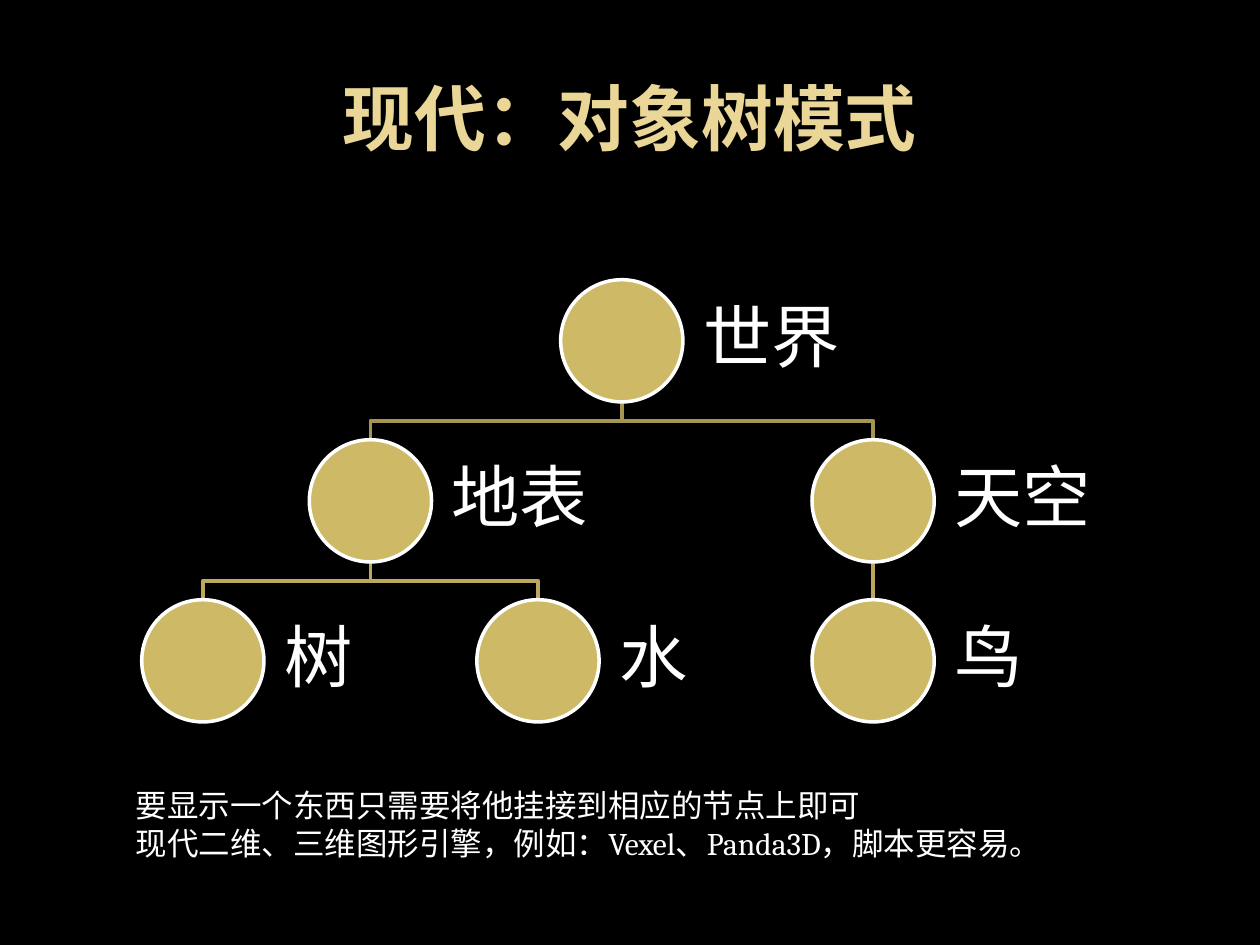
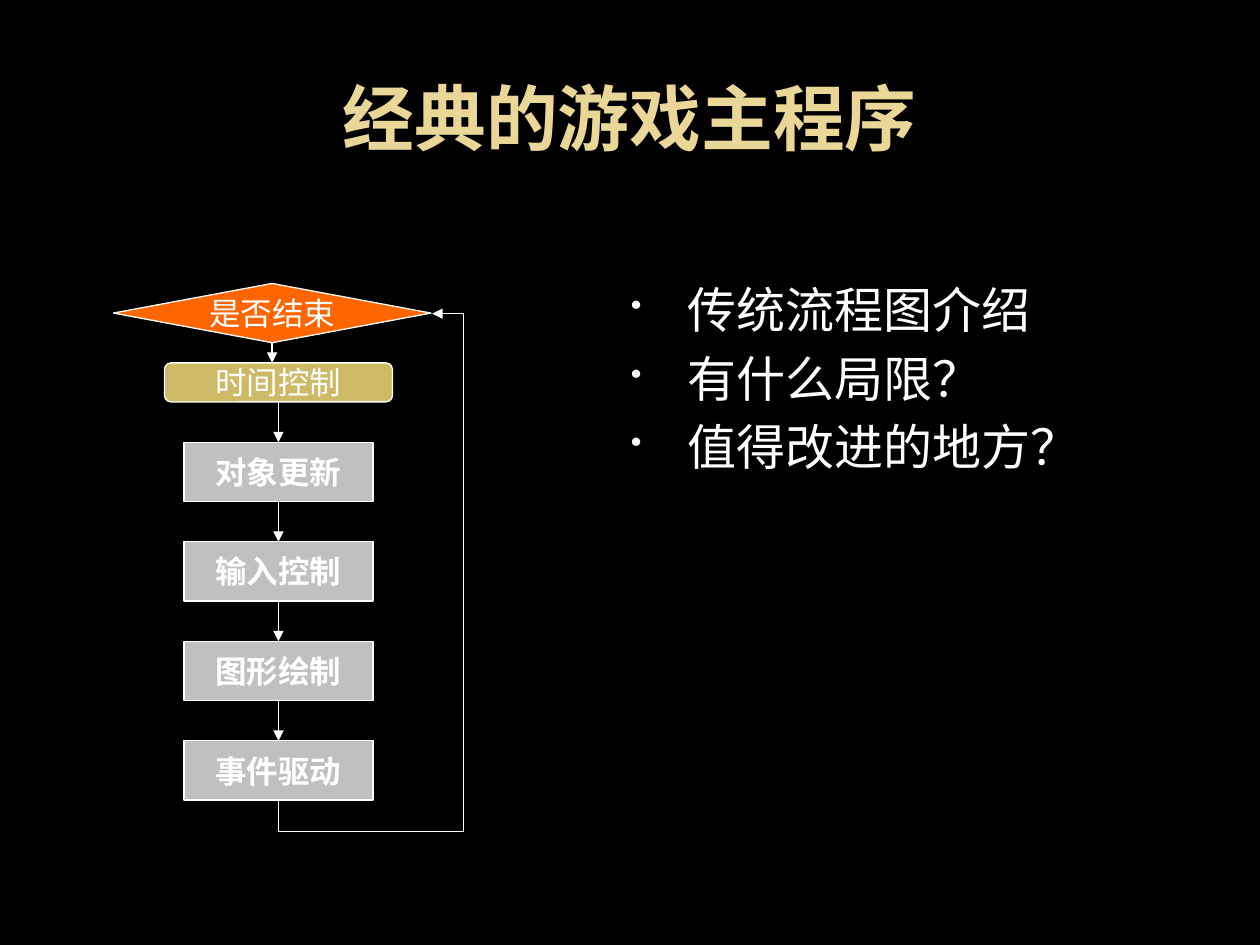
from lxml import etree
from pptx import Presentation
from pptx import util as u
from pptx.dml.color import RGBColor
from pptx.enum import shapes, text
from pptx.oxml.ns import qn

Inches, Pt = u.Inches, u.Pt
SHAPE, LINK = shapes.MSO_SHAPE, shapes.MSO_CONNECTOR
CENTER, MIDDLE = text.PP_ALIGN.CENTER, text.MSO_ANCHOR.MIDDLE
COLORS = {"background": "000000", "title": "EAD696", "text": "FFFFFF", "bullet": "F9F9F9",
          "gold": "CEB966", "upper_branch": "A59452", "lower_branch": "BBA85D",
          "step": "C0C0C0", "decision": "FF6600"}
TOP, BOTTOM = 0, 2


def color(name):
    return RGBColor.from_string(COLORS[name])


class Deck:
    """Holds the shared style and the slide being built."""

    def __init__(self):
        self.presentation = Presentation()
        self.presentation.slide_width = Inches(10)
        self.presentation.slide_height = Inches(7.5)
        self.slide = None

    def new_slide(self, title):
        self.slide = self.presentation.slides.add_slide(self.presentation.slide_layouts[6])
        self.slide.background.fill.solid()
        self.slide.background.fill.fore_color.rgb = color("background")
        frame = self.text_box(0.5, 0.3, 9, 1.25, [title], 41, font="Noto Sans",
                              fill="title", bold=True, anchor=MIDDLE)
        frame.paragraphs[0].alignment = CENTER

    def style(self, paragraph, size, font="Cambria", fill="text", bold=False):
        paragraph.font.name = font
        paragraph.font.size = Pt(size)
        paragraph.font.bold = bold
        paragraph.font.color.rgb = color(fill)

    def text_box(self, left, top, width, height, lines, size, anchor=text.MSO_ANCHOR.TOP,
                 bullets=False, **style):
        box = self.slide.shapes.add_textbox(*map(Inches, (left, top, width, height)))
        frame = box.text_frame
        frame.word_wrap = True
        frame.vertical_anchor = anchor
        for index, line in enumerate(lines):
            paragraph = frame.add_paragraph() if index else frame.paragraphs[0]
            paragraph.text = line
            if bullets:
                self.add_bullet(paragraph)
                if index:
                    paragraph.space_before = Pt(size * 0.2)
            self.style(paragraph, size, **style)
        return frame

    def add_bullet(self, paragraph):
        properties = paragraph._p.get_or_add_pPr()
        properties.set("marL", str(Inches(0.6)))
        properties.set("indent", str(Inches(-0.45)))
        bullet_color = etree.SubElement(properties, qn("a:buClr"))
        etree.SubElement(bullet_color, qn("a:srgbClr"), val=COLORS["bullet"])
        etree.SubElement(properties, qn("a:buSzPct"), val="65000")
        etree.SubElement(properties, qn("a:buChar"), char="•")

    def shape(self, kind, left, top, width, height, fill, line_width, label="", bold=False):
        shape = self.slide.shapes.add_shape(kind, *map(Inches, (left, top, width, height)))
        shape.shadow.inherit = False
        shape.fill.solid()
        shape.fill.fore_color.rgb = color(fill)
        shape.line.color.rgb = color("text")
        shape.line.width = Pt(line_width)
        if label:
            frame = shape.text_frame
            frame.word_wrap = False
            frame.vertical_anchor = MIDDLE
            paragraph = frame.paragraphs[0]
            paragraph.text = label
            paragraph.alignment = CENTER
            self.style(paragraph, 18, bold=bold)
        return shape

    def connector(self, start, end, line="text", width=0.75, arrow=True, kind=LINK.STRAIGHT):
        connector = self.slide.shapes.add_connector(kind, *map(Inches, (*start, *end)))
        connector.line.color.rgb = color(line)
        connector.line.width = Pt(width)
        if arrow:
            etree.SubElement(connector.line._get_or_add_ln(), qn("a:tailEnd"), type="triangle")
        etree.SubElement(connector._element.spPr, qn("a:effectLst"))
        return connector

    def loop_back(self, left, top, width, height, bends):
        """Four-part elbow, turned a quarter, running from bottom to top."""
        connector = self.connector((left + width, top + height), (left, top), kind=LINK.ELBOW)
        properties = connector._element.spPr
        properties.find(qn("a:xfrm")).set("rot", "5400000")
        geometry = properties.find(qn("a:prstGeom"))
        geometry.set("prst", "bentConnector4")
        guides = geometry.find(qn("a:avLst"))
        if guides is None:
            guides = etree.SubElement(geometry, qn("a:avLst"))
        for number, bend in enumerate(bends, 1):
            etree.SubElement(guides, qn("a:gd"), name=f"adj{number}",
                             fmla=f"val {round(bend * 100000)}")

    def polyline(self, points, line, width):
        points = [(Inches(x), Inches(y)) for x, y in points]
        builder = self.slide.shapes.build_freeform(*points[0])
        builder.add_line_segments(points[1:], close=False)
        shape = builder.convert_to_shape()
        shape.shadow.inherit = False
        shape.fill.background()
        shape.line.color.rgb = color(line)
        shape.line.width = Pt(width)


def build_object_tree(deck):
    deck.new_slide("现代：对象树模式")
    size, row_pitch, column_pitch = 0.97, 1.27, 1.33
    # Name: column, row, parent
    nodes = {"世界": (2.5, 0, None), "地表": (1, 1, "世界"), "天空": (4, 1, "世界"),
             "树": (0, 2, "地表"), "水": (2, 2, "地表"), "鸟": (4, 2, "天空")}
    places = {name: (1.61 + column * column_pitch, 2.22 + row * row_pitch)
              for name, (column, row, _) in nodes.items()}

    # Branches, behind the nodes
    for name, (_, row, parent) in nodes.items():
        if parent is None:
            continue
        (parent_x, parent_top), (x, top) = places[parent], places[name]
        start = parent_top + size
        middle = (start + top) / 2
        line = "upper_branch" if row == 1 else "lower_branch"
        if x == parent_x:
            deck.connector((x, start), (x, top), line, 2, arrow=False)
        else:
            deck.polyline([(parent_x, start), (parent_x, middle), (x, middle), (x, top)], line, 2)

    # Nodes and their names
    for name, (x, top) in places.items():
        deck.shape(SHAPE.OVAL, x - size / 2, top, size, size, "gold", 2)
        frame = deck.text_box(x + size / 2, top, 1.45, size, [name], 39, anchor=MIDDLE)
        frame.margin_left = frame.margin_right = Inches(0.16)
        frame.margin_top = frame.margin_bottom = Inches(0.16)
        frame.paragraphs[0].line_spacing = 0.9

    deck.text_box(0.98, 6.19, 8.03, 0.71,
                  ["要显示一个东西只需要将他挂接到相应的节点上即可",
                   "现代二维、三维图形引擎，例如：Vexel、Panda3D，脚本更容易。"], 18)


def build_main_loop(deck):
    deck.new_slide("经典的游戏主程序")
    deck.text_box(4.76, 2.17, 4.74, 4.25,
                  ["传统流程图介绍", "有什么局限？", "值得改进的地方？"], 28, bullets=True)

    # Flow chart boxes
    center = 2.21
    decision = deck.shape(SHAPE.FLOWCHART_DECISION, 0.9, 2.25, 2.52, 0.47,
                          "decision", 0.75, "是否结束")
    chain = [deck.shape(SHAPE.FLOWCHART_ALTERNATE_PROCESS, center - 0.905, 2.88, 1.81, 0.31,
                        "gold", 0.75, "时间控制")]
    for index, label in enumerate(["对象更新", "输入控制", "图形绘制", "事件驱动"]):
        chain.append(deck.shape(SHAPE.FLOWCHART_PROCESS, center - 0.75, 3.51 + index * 0.79,
                                1.5, 0.47, "step", 0.75, label, bold=True))

    # Arrows
    deck.connector((2.16, 2.72), (2.16, 2.88)).begin_connect(decision, BOTTOM)
    for upper, lower in zip(chain, chain[1:]):
        arrow = deck.connector((center, 3), (center, 4))
        arrow.begin_connect(upper, BOTTOM)
        arrow.end_connect(lower, TOP)
    deck.loop_back(0.89, 3.81, 3.86, 1.22, (-0.065, 1.205))


def main():
    deck = Deck()
    build_object_tree(deck)
    build_main_loop(deck)
    deck.presentation.save("out.pptx")


if __name__ == "__main__":
    main()
